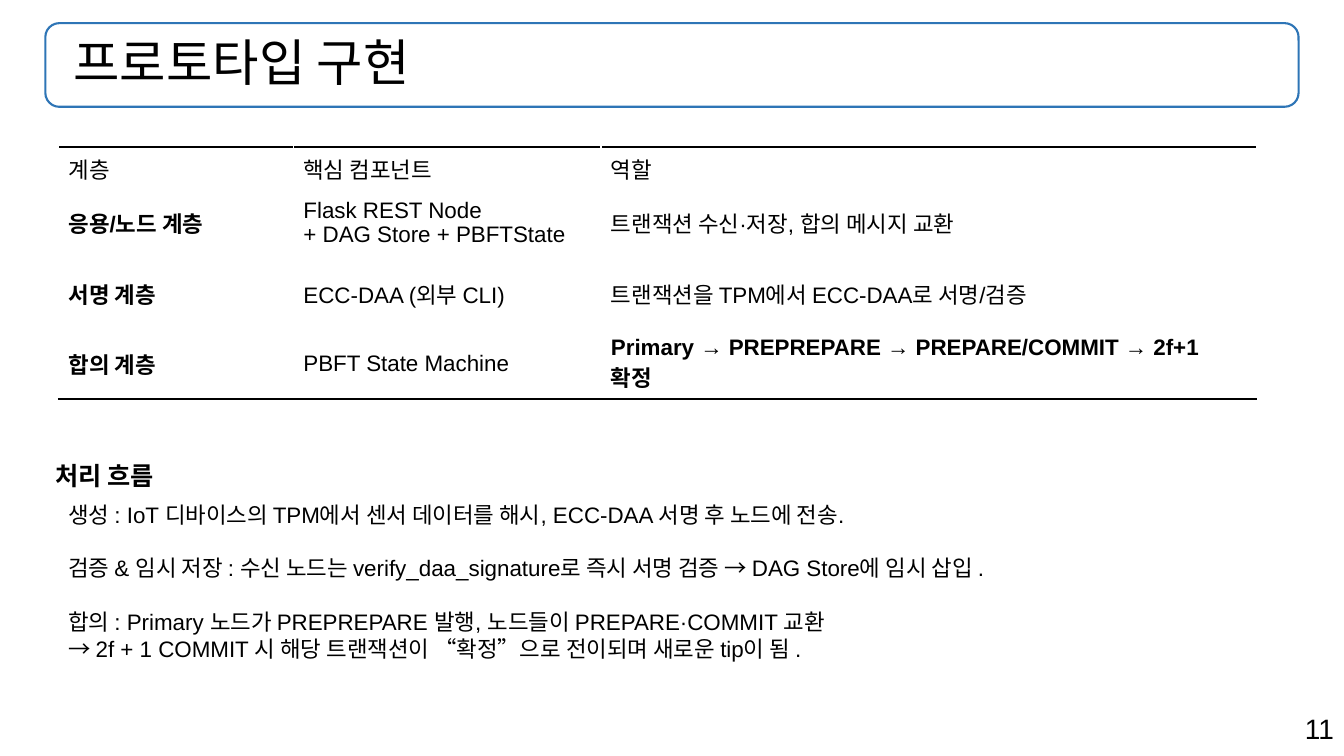
from lxml import etree
from pptx import Presentation
from pptx import util as u
from pptx.dml import color
from pptx.enum import shapes, text
from pptx.oxml import ns

BLACK, WHITE, BLUE = "000000", "FFFFFF", "2E75B6"

TITLE = "프로토타입 구현"
LAYERS = [
    ["계층", "핵심 컴포넌트", "역할"],
    ["응용/노드 계층", "Flask REST Node\v+ DAG Store + PBFTState",
     "트랜잭션 수신·저장, 합의 메시지 교환"],
    ["서명 계층", "ECC-DAA (외부 CLI)", "트랜잭션을 TPM에서 ECC-DAA로 서명/검증"],
    ["합의 계층", "PBFT State Machine",
     "Primary → PREPREPARE → PREPARE/COMMIT → 2f+1 확정"],
]
BOLD_CELLS = {(1, 0), (2, 0), (3, 0), (3, 2)}
FLOW_HEADING = "처리 흐름"
FLOW_STEPS = [
    "생성 : IoT 디바이스의 TPM에서 센서 데이터를 해시, ECC-DAA 서명 후 노드에 전송.",
    "검증 & 임시 저장 : 수신 노드는 verify_daa_signature로 즉시 서명 검증 → "
    "DAG Store에 임시 삽입 .",
    "합의 : Primary 노드가 PREPREPARE 발행, 노드들이 PREPARE·COMMIT 교환\v"
    "→ 2f + 1 COMMIT 시 해당 트랜잭션이 “확정”으로 전이되며 새로운 tip이 됨 .",
]


def rgb(value):
    return color.RGBColor.from_string(value)


def write(frame, lines, size, bold=False, **paragraph_format):
    """Fill a text frame with one paragraph per line."""
    frame.word_wrap = True
    frame.text = "\n".join(lines)
    for paragraph in frame.paragraphs:
        for name, value in paragraph_format.items():
            setattr(paragraph, name, value)
        for run in paragraph.runs:
            font_format = {"name": "Arial", "size": u.Pt(size), "bold": bold}
            for name, value in font_format.items():
                setattr(run.font, name, value)
            run.font.color.rgb = rgb(BLACK)


def text_box(slide, box, lines, size, **options):
    frame = slide.shapes.add_textbox(*map(u.Inches, box)).text_frame
    write(frame, lines, size, **options)


def title_bar(slide, box):
    bar = slide.shapes.add_shape(
        shapes.MSO_SHAPE.ROUNDED_RECTANGLE, *map(u.Inches, box))
    bar.shadow.inherit = False
    bar.fill.background()
    bar.line.color.rgb = rgb(BLUE)
    bar.line.width = u.Pt(1.5)
    bar.text_frame.vertical_anchor = text.MSO_ANCHOR.MIDDLE
    bar.text_frame.margin_left = u.Inches(0.24)
    write(bar.text_frame, [TITLE], 36,
          alignment=text.PP_ALIGN.LEFT, line_spacing=0.9)


def cell_border(cell, side):
    """Draw a black rule along the top (T) or bottom (B) of a cell."""
    rule = etree.Element(ns.qn(f"a:ln{side}"), w=str(u.Pt(2)))
    fill = etree.SubElement(rule, ns.qn("a:solidFill"))
    etree.SubElement(fill, ns.qn("a:srgbClr"), val=BLACK)
    cell._tc.get_or_add_tcPr().insert(0, rule)


def layer_table(slide, box):
    table = slide.shapes.add_table(
        len(LAYERS), len(LAYERS[0]), *map(u.Inches, box)).table
    table.first_row = table.horz_banding = False
    for column, width in zip(table.columns, (2.33, 3.05, 6.5)):
        column.width = u.Inches(width)
    for r, layer in enumerate(LAYERS):
        table.rows[r].height = u.Inches(0.7 if r else 0.4)
        for c, entry in enumerate(layer):
            cell = table.cell(r, c)
            cell.vertical_anchor = text.MSO_ANCHOR.MIDDLE
            cell.fill.solid()
            cell.fill.fore_color.rgb = rgb(WHITE)
            write(cell.text_frame, [entry], 16, bold=(r, c) in BOLD_CELLS)
            if r == 0:
                cell_border(cell, "T")
            elif r == len(LAYERS) - 1:
                cell_border(cell, "B")


def process_flow(slide, box):
    left, top, width, height = box
    heading_height = 0.4
    text_box(slide, (left, top, 6.7, heading_height), [FLOW_HEADING], 18, bold=True)
    text_box(slide, (left + 0.13, top + heading_height,
                     width - 0.13, height - heading_height),
             FLOW_STEPS, 16, space_after=u.Pt(19))


def page_number(slide, box):
    text_box(slide, box, ["11"], 20, alignment=text.PP_ALIGN.RIGHT)


def main():
    deck = Presentation()
    deck.slide_width, deck.slide_height = u.Inches(13.33), u.Inches(7.5)
    slide = deck.slides.add_slide(deck.slide_layouts[6])
    page_number(slide, (9.43, 7.01, 3.9, 0.44))
    title_bar(slide, (0.45, 0.23, 12.43, 0.83))
    layer_table(slide, (0.58, 1.46, 11.88, 2.5))
    process_flow(slide, (0.45, 4.52, 12.66, 2.39))
    deck.save("out.pptx")


if __name__ == "__main__":
    main()
